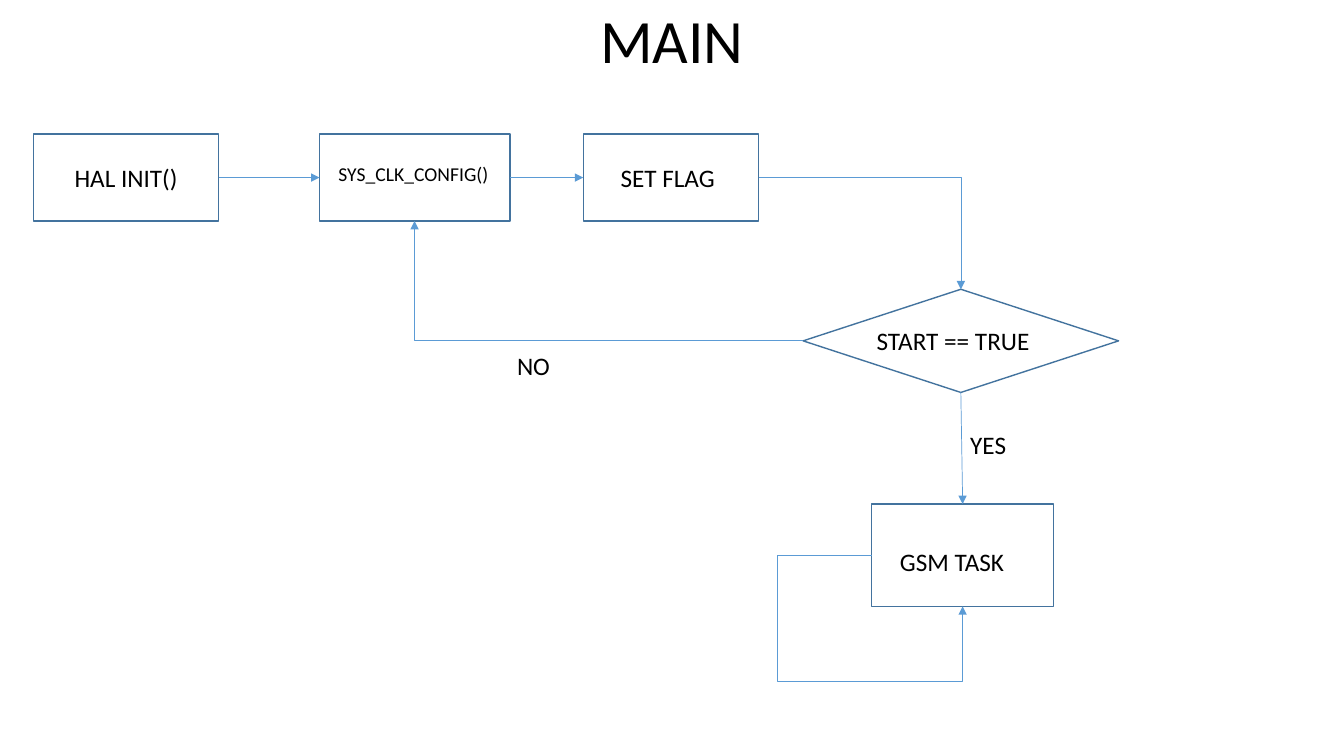
from dataclasses import dataclass

from lxml.etree import SubElement
from pptx import Presentation
from pptx.dml.color import RGBColor
from pptx.enum.shapes import MSO_CONNECTOR as Link, MSO_SHAPE as Shape
from pptx.enum.text import MSO_ANCHOR as Anchor, MSO_AUTO_SIZE as Fit, PP_ALIGN as Align
from pptx.oxml.ns import qn
from pptx.util import Cm, Pt


@dataclass(frozen=True)
class Theme:
    font: str = "Calibri"
    ink: RGBColor = RGBColor(0, 0, 0)
    paper: RGBColor = RGBColor(255, 255, 255)
    outline: RGBColor = RGBColor(0x43, 0x73, 0x9E)
    arrow: RGBColor = RGBColor(0x5B, 0x9B, 0xD5)
    outline_width: float = 1
    arrow_width: float = 0.5
    title: int = 44
    body: int = 18
    small: int = 14


TOP, LEFT, BOTTOM, RIGHT = range(4)  # connection sites


class Flowchart:
    def __init__(self, slide, theme):
        self.slide, self.theme = slide, theme

    def node(self, kind, left, top, width, height):
        node = self.slide.shapes.add_shape(kind, Cm(left), Cm(top), Cm(width), Cm(height))
        node.shadow.inherit = False
        node.fill.solid()
        node.fill.fore_color.rgb = self.theme.paper
        node.line.color.rgb = self.theme.outline
        node.line.width = Pt(self.theme.outline_width)
        return node

    def label(self, text, left, top, width, height=1.02, size=None):
        box = self.slide.shapes.add_textbox(Cm(left), Cm(top), Cm(width), Cm(height))
        frame = box.text_frame
        frame.word_wrap = True
        frame.auto_size = Fit.SHAPE_TO_FIT_TEXT
        paragraph = frame.paragraphs[0]
        paragraph.text = text
        font = paragraph.font
        font.name, font.size = self.theme.font, Pt(size or self.theme.body)
        font.color.rgb = self.theme.ink
        return frame

    def title(self, text, left, top, width, height):
        frame = self.label(text, left, top, width, height, self.theme.title)
        frame.auto_size = Fit.NONE
        frame.vertical_anchor = Anchor.MIDDLE
        frame.paragraphs[0].alignment = Align.CENTER
        frame.paragraphs[0].line_spacing = 0.9

    def arrow(self, source, source_site, target, target_site, preset=None):
        kind = Link.ELBOW if preset else Link.STRAIGHT
        arrow = self.slide.shapes.add_connector(kind, 0, 0, 0, 0)
        arrow.begin_connect(source, source_site)
        arrow.end_connect(target, target_site)
        arrow.line.color.rgb = self.theme.arrow
        arrow.line.width = Pt(self.theme.arrow_width)
        properties = arrow._element.spPr
        if preset:
            properties.find(qn("a:prstGeom")).set("prst", preset)
        SubElement(properties.find(qn("a:ln")), qn("a:tailEnd"), type="triangle")
        SubElement(properties, qn("a:effectLst"))
        return arrow

    def loop(self, node, left, bottom):
        """Leave the node's left side and return to its bottom."""
        arrow = self.arrow(node, LEFT, node, BOTTOM, "bentConnector4")
        bends = ((Cm(left) - arrow.begin_x) / arrow.width,
                 (Cm(bottom) - arrow.begin_y) / arrow.height)
        geometry = arrow._element.spPr.find(qn("a:prstGeom"))
        guides = geometry.find(qn("a:avLst"))
        if guides is None:
            guides = SubElement(geometry, qn("a:avLst"))
        for number, bend in enumerate(bends, 1):
            SubElement(guides, qn("a:gd"), name=f"adj{number}",
                       fmla=f"val {round(bend * 100000)}")


presentation = Presentation()
presentation.slide_width, presentation.slide_height = Cm(33.87), Cm(19.05)
theme = Theme()
chart = Flowchart(presentation.slides.add_slide(presentation.slide_layouts[6]), theme)

chart.title("MAIN", 2.33, 0, 29.21, 2.2)

# Steps and decision
hal_init, clock_config, set_flag = (
    chart.node(Shape.RECTANGLE, left, 3.38, width, 2.19)
    for left, width in ((0.84, 4.67), (8.05, 4.8), (14.7, 4.42)))
start_check = chart.node(Shape.FLOWCHART_DECISION, 20.24, 7.29, 7.95, 2.6)
gsm_task = chart.node(Shape.RECTANGLE, 21.97, 12.7, 4.58, 2.58)

# Flow
chart.arrow(hal_init, RIGHT, clock_config, LEFT)
chart.arrow(clock_config, RIGHT, set_flag, LEFT)
chart.arrow(set_flag, RIGHT, start_check, TOP, "bentConnector2")
chart.arrow(start_check, LEFT, clock_config, BOTTOM, "bentConnector2")
chart.arrow(start_check, BOTTOM, gsm_task, TOP)
chart.loop(gsm_task, left=19.58, bottom=17.17)

# Step and branch labels
chart.label("SYS_CLK_CONFIG()", 8.28, 3.96, 4.29, 0.86, theme.small)
for text, left, top, width in (
        ("HAL INIT()", 1.63, 3.96, 4.42),
        ("SET FLAG", 15.39, 3.96, 3),
        ("START == TRUE", 21.84, 8.08, 4.85),
        ("GSM TASK", 22.43, 13.64, 3.18),
        ("NO", 12.78, 8.71, 3.5),
        ("YES", 24.2, 10.69, 3.5)):
    chart.label(text, left, top, width)

presentation.save("out.pptx")
